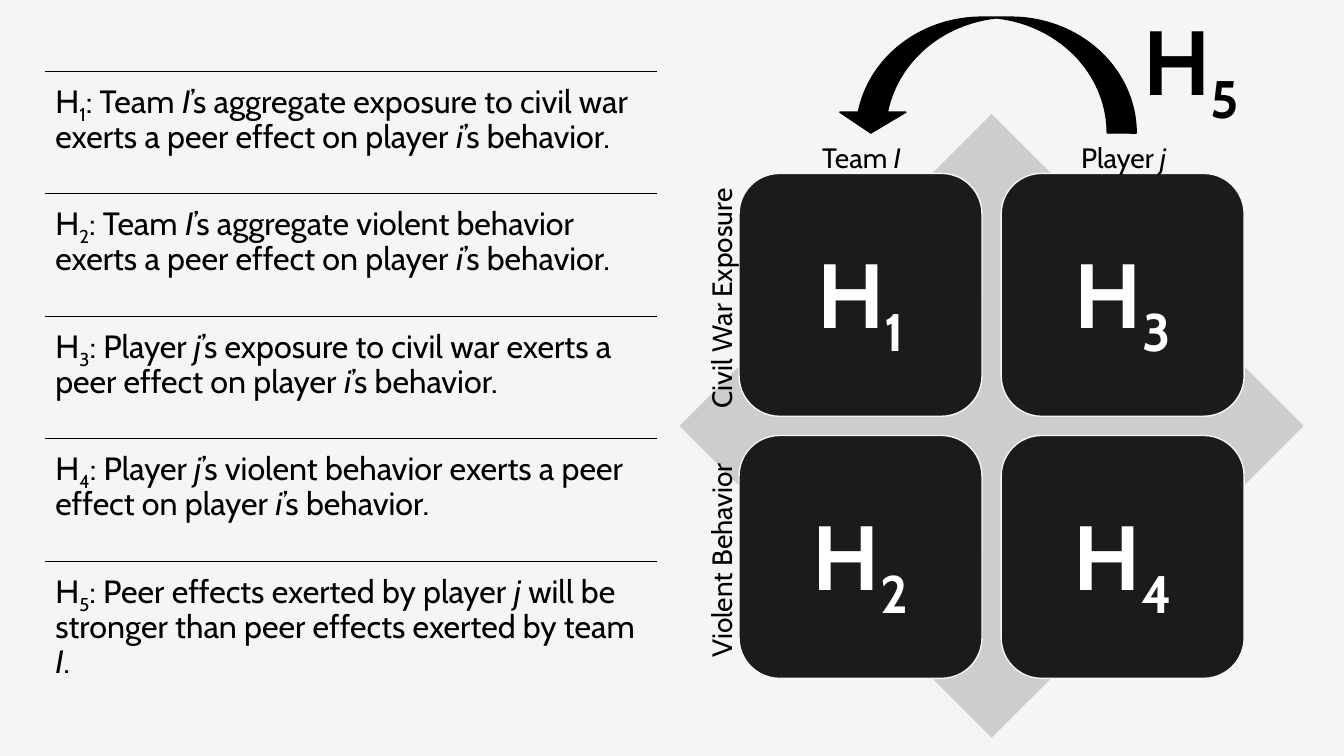
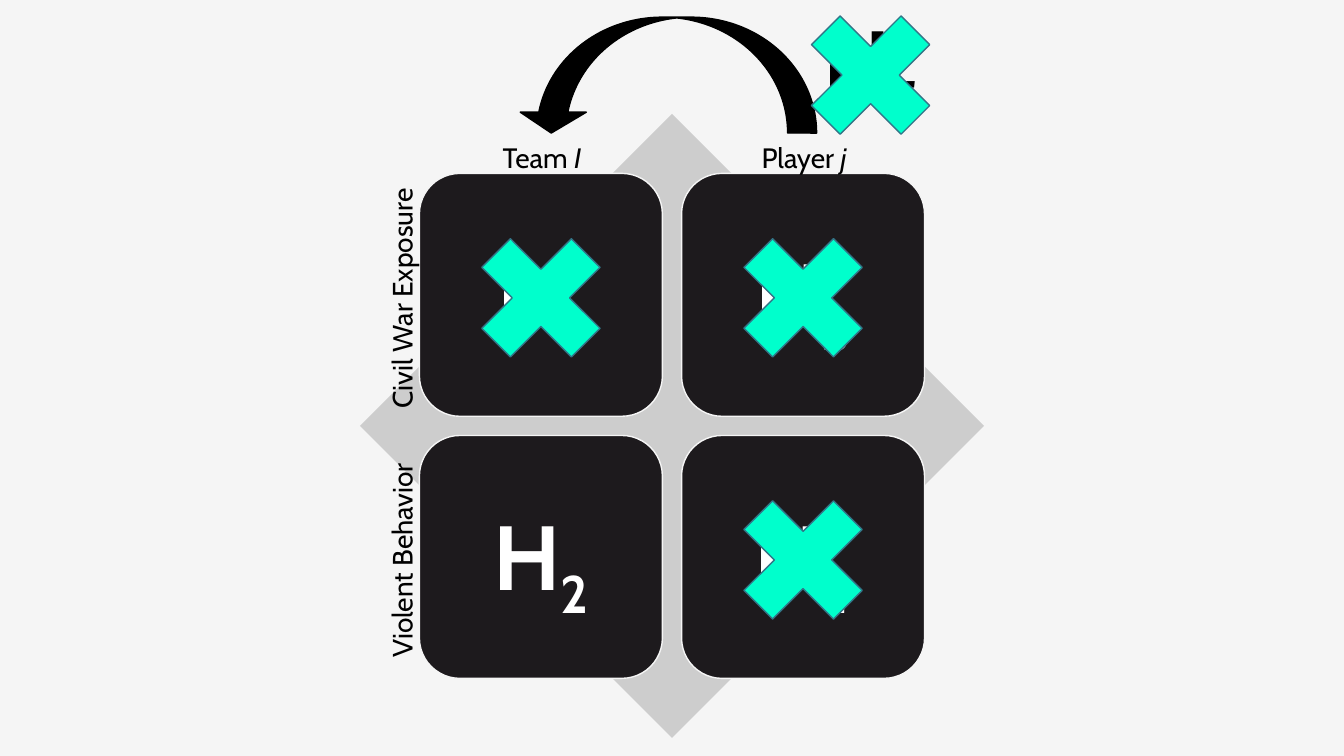
from dataclasses import dataclass

from pptx import Presentation
from pptx.dml.color import RGBColor
from pptx.enum.shapes import MSO_CONNECTOR, MSO_SHAPE
from pptx.enum.text import MSO_ANCHOR, MSO_AUTO_SIZE, PP_ALIGN
from pptx.oxml.ns import qn
from pptx.oxml.xmlchemy import OxmlElement
from pptx.util import Emu, Pt


@dataclass(frozen=True)
class Theme:
    font: str = "Cabin"
    background: RGBColor = RGBColor.from_string("F5F5F5")
    ink: RGBColor = RGBColor.from_string("000000")
    cell: RGBColor = RGBColor.from_string("1D1A1D")
    cell_text: RGBColor = RGBColor.from_string("FFFFFF")
    diamond: RGBColor = RGBColor.from_string("CDCDCD")
    cross: RGBColor = RGBColor.from_string("00FFCC")
    cross_line: RGBColor = RGBColor.from_string("327587")
    body_size: int = 23
    label_size: int = 20
    symbol_size: int = 65
    line_width: int = 1


THEME = Theme()
EMU_PER_PX = 9144
SLIDE_WIDTH, SLIDE_HEIGHT = 1333, 750

LIST_LEFT, LIST_TOP, LIST_WIDTH = 45, 71, 607
ROW_HEIGHT = 121.5
HYPOTHESES = (
    "Team *I*’s aggregate exposure to civil war exerts a peer effect on player *i*’s behavior.",
    "Team *I*’s aggregate violent behavior exerts a peer effect on player *i*’s behavior.",
    "Player *j*’s exposure to civil war exerts a peer effect on player *i*’s behavior.",
    "Player *j*’s violent behavior exerts a peer effect on player *i*’s behavior.",
    "Peer effects exerted by player *j* will be stronger than peer effects exerted by team *I*.",
)

DIAMOND_TOP, DIAMOND_SIZE = 113, 619
CELL_INSET, CELL_TOP, CELL_SIZE, CELL_PITCH = 59, 172, 241, 260
LABEL_WIDTH, LABEL_HEIGHT = 243, 44
COLUMN_LABELS = ("Team *I*", "Player *j*")
ROW_LABELS = ("Civil War Exposure", "Violent Behavior")
CROSS_SIZE = 171


def px(value):
    return Emu(round(value * EMU_PER_PX))


def box(*lengths):
    return [px(length) for length in lengths]


def set_attributes(target, values):
    for name, value in values.items():
        setattr(target, name, value)


def write_text(shape, text, size, color=THEME.ink, bold=False, spacing=1.0,
               align=PP_ALIGN.LEFT, **frame_format):
    frame = shape.text_frame
    set_attributes(frame, {"word_wrap": True, **frame_format})
    paragraph = frame.paragraphs[0]
    set_attributes(paragraph, {"alignment": align, "line_spacing": spacing})
    for part_index, part in enumerate(text.split("*")):
        for piece_index, piece in enumerate(part.split("_")):
            if not piece:
                continue
            run = paragraph.add_run()
            run.text = piece
            set_attributes(run.font, {
                "name": THEME.font,
                "size": Pt(size),
                "bold": bold,
                "italic": part_index % 2 == 1,
            })
            run.font.color.rgb = color
            if piece_index % 2:
                run._r.get_or_add_rPr().set("baseline", "-25000")


def add_shape(slide, kind, bounds, fill, line=None):
    shape = slide.shapes.add_shape(kind, *box(*bounds))
    shape.shadow.inherit = False
    shape.fill.solid()
    shape.fill.fore_color.rgb = fill
    if line is None:
        shape.line.fill.background()
    else:
        shape.line.color.rgb = line
        shape.line.width = Pt(THEME.line_width)
    return shape


def add_rule(slide, left, top, width):
    rule = slide.shapes.add_connector(
        MSO_CONNECTOR.STRAIGHT, *box(left, top, left + width, top))
    rule.line.color.rgb = THEME.ink
    rule.line.width = Pt(THEME.line_width)
    rule._element.spPr.append(OxmlElement("a:effectLst"))


def add_label(slide, text, bounds, size=THEME.label_size, bold=False, rotation=0):
    label = slide.shapes.add_textbox(*box(*bounds))
    label.rotation = rotation
    write_text(label, text, size, bold=bold, align=PP_ALIGN.CENTER,
               auto_size=MSO_AUTO_SIZE.SHAPE_TO_FIT_TEXT)


def add_hypotheses(slide):
    for index, hypothesis in enumerate(HYPOTHESES):
        top = int(LIST_TOP + index * ROW_HEIGHT)
        add_rule(slide, LIST_LEFT, top, LIST_WIDTH)
        entry = slide.shapes.add_textbox(
            *box(LIST_LEFT, top, LIST_WIDTH, ROW_HEIGHT))
        write_text(entry, f"H_{index + 1}_: {hypothesis}", THEME.body_size,
                   spacing=0.9, margin_top=px(10), margin_bottom=px(10))


def cell_origin(left, column, row):
    return left + CELL_INSET + column * CELL_PITCH, CELL_TOP + row * CELL_PITCH


def add_cell(slide, left, column, row):
    bounds = (*cell_origin(left, column, row), CELL_SIZE, CELL_SIZE)
    cell = add_shape(slide, MSO_SHAPE.ROUNDED_RECTANGLE, bounds,
                     THEME.cell, THEME.background)
    margins = {f"margin_{side}": px(27) for side in ("left", "top", "right", "bottom")}
    write_text(cell, f"H_{column * 2 + row + 1}_", THEME.symbol_size,
               THEME.cell_text, bold=True, spacing=0.9, align=PP_ALIGN.CENTER,
               vertical_anchor=MSO_ANCHOR.MIDDLE, **margins)


def add_matrix(slide, left):
    add_shape(slide, MSO_SHAPE.DIAMOND,
              (left, DIAMOND_TOP, DIAMOND_SIZE, DIAMOND_SIZE), THEME.diamond)
    for row in range(2):
        for column in range(2):
            add_cell(slide, left, column, row)
    for index, (column_label, row_label) in enumerate(zip(COLUMN_LABELS, ROW_LABELS)):
        offset = index * CELL_PITCH
        add_label(slide, column_label,
                  (left + CELL_INSET + offset, 134, LABEL_WIDTH, LABEL_HEIGHT))
        add_label(slide, row_label,
                  (left - 80, 274 + offset, LABEL_WIDTH, LABEL_HEIGHT), rotation=270)
    arrow = add_shape(slide, MSO_SHAPE.CURVED_DOWN_ARROW,
                      (left + 157, 17, 296, 115), THEME.ink, THEME.ink)
    for index, value in enumerate((0.25, 0.57, 0.18)):
        arrow.adjustments[index] = value
    arrow._element.spPr.find(qn("a:xfrm")).set("flipH", "1")
    add_label(slide, "H_5_", (left + 448, 0, 119, 119), THEME.symbol_size, bold=True)


def add_cross(slide, left, top):
    add_shape(slide, MSO_SHAPE.MATH_MULTIPLY, (left, top, CROSS_SIZE, CROSS_SIZE),
              THEME.cross, THEME.cross_line)


def add_crosses(slide, left):
    for column, row in ((0, 0), (1, 0), (1, 1)):
        cell_left, cell_top = cell_origin(left, column, row)
        add_cross(slide, cell_left + 35, cell_top + 38)
    add_cross(slide, left + 421, -11)


def main():
    presentation = Presentation()
    set_attributes(presentation, {
        "slide_width": px(SLIDE_WIDTH), "slide_height": px(SLIDE_HEIGHT)})
    background = presentation.slide_master.background.fill
    background.solid()
    background.fore_color.rgb = THEME.background
    blank_layout = presentation.slide_layouts[6]

    hypotheses_slide = presentation.slides.add_slide(blank_layout)
    add_hypotheses(hypotheses_slide)
    add_matrix(hypotheses_slide, 674)

    results_slide = presentation.slides.add_slide(blank_layout)
    results_left = (SLIDE_WIDTH - DIAMOND_SIZE) // 2
    add_matrix(results_slide, results_left)
    add_crosses(results_slide, results_left)

    presentation.save("out.pptx")


if __name__ == "__main__":
    main()
